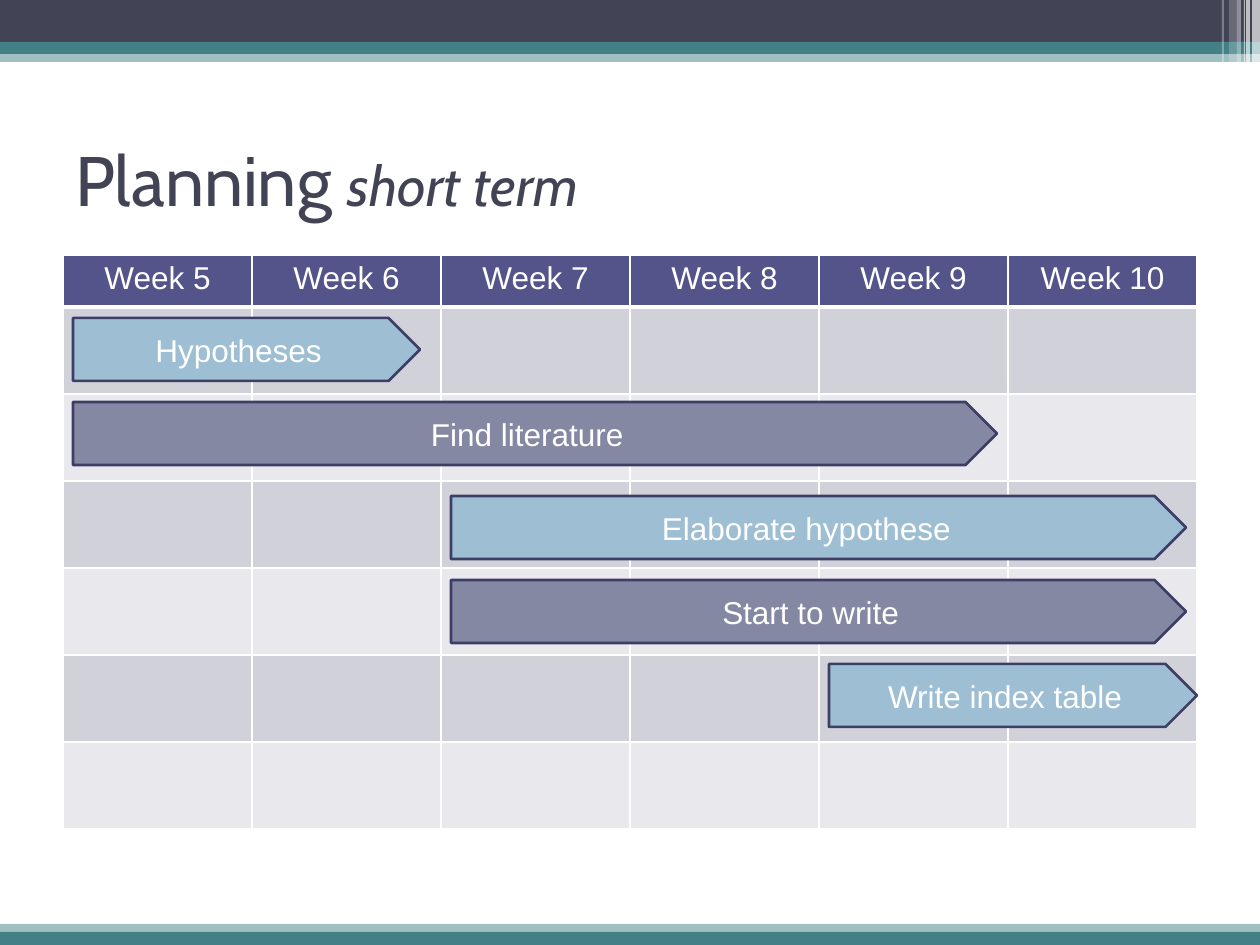
from lxml.etree import SubElement
from pptx import Presentation
from pptx.dml.color import RGBColor
from pptx.enum.shapes import MSO_SHAPE as Shape
from pptx.enum.text import MSO_ANCHOR as Anchor, PP_ALIGN as Align
from pptx.oxml import parse_xml
from pptx.oxml.ns import nsdecls, qn
from pptx.util import Emu, Pt

SCALE = 914400 / 126
WHITE = RGBColor(0xFF, 0xFF, 0xFF)
SLATE = RGBColor(0x42, 0x44, 0x56)
TEAL = RGBColor(0x43, 0x80, 0x86)
INDIGO = RGBColor(0x53, 0x54, 0x8A)
OUTLINE = RGBColor(0x3D, 0x3E, 0x66)
SKY = RGBColor(0x9D, 0xBE, 0xD3)
MAUVE = RGBColor(0x85, 0x88, 0xA2)
DARK_ROW = RGBColor(0xD1, 0xD1, 0xDA)
LIGHT_ROW = RGBColor(0xE9, 0xE9, 0xED)

WIDTH, HEIGHT = 1260, 945
LEFT, TOP = 63, 255
COLUMN, HEADER, ROW = 189, 52, 87
WEEKS = [f"Week {number}" for number in range(5, 11)]
ROWS = 6
LABEL = {"size": Pt(18), "name": "Arial"}

BANDS = [
    (0, 50, WIDTH, 12, TEAL, 50),
    (0, 0, WIDTH, 42, SLATE, 100),
    (0, 42, WIDTH, 12, TEAL, 100),
    (1252, 0, 8, 86, WHITE, 65),
    (1246, 0, 4, 86, WHITE, 65),
    (1244, 0, 1, 86, WHITE, 60),
    (1237, 0, 4, 86, WHITE, 40),
    (1229, 0, 8, 81, WHITE, 20),
    (1222, 0, 2, 81, WHITE, 30),
    (0, 932, WIDTH, 13, TEAL, 100),
    (0, 924, WIDTH, 11, TEAL, 50),
]
TASKS = [
    ("Hypotheses", 0, 318, 347, SKY),
    ("Find literature", 0, 402, 924, MAUVE),
    ("Elaborate hypothese ", 2, 496, 735, SKY),
    ("Start to write", 2, 580, 735, MAUVE),
    ("Write index table", 4, 664, 368, SKY),
]


def px(*lengths):
    """Turn pixels into EMU lengths."""
    return [Emu(round(length * SCALE)) for length in lengths]


def add_span(para, text, color, formats):
    """Add one formatted run to a paragraph."""
    span = para.add_run()
    span.text = text
    span.font.color.rgb = color
    for key, value in formats.items():
        setattr(span.font, key, value)


def add_block(page, kind, bounds, color, opacity=100):
    """Add a filled preset shape without outline."""
    block = page.shapes.add_shape(kind, *px(*bounds))
    block.shadow.inherit = False
    block.fill.solid()
    block.fill.fore_color.rgb = color
    block.line.fill.background()
    if opacity < 100:
        tint = block.fill._xPr.find(".//" + qn("a:srgbClr"))
        SubElement(tint, qn("a:alpha"), val=str(opacity * 1000))
    return block


def add_title(page):
    """Add the two-size slide title."""
    box = page.shapes.add_textbox(*px(LEFT, 105, 1134, 147))
    box.text_frame.word_wrap = True
    box.text_frame.vertical_anchor = Anchor.MIDDLE
    para = box.text_frame.paragraphs[0]
    add_span(para, "Planning ", SLATE, {"name": "Cabin", "size": Pt(40)})
    add_span(para, "short term", SLATE, {"name": "Cabin", "size": Pt(32), "italic": True})


def style_cell(cell, color, bottom):
    """Fill a cell and draw its white borders."""
    cell.fill.solid()
    cell.fill.fore_color.rgb = color
    widths = {"lnL": 1, "lnR": 1, "lnT": 1, "lnB": bottom}
    for index, (side, width) in enumerate(widths.items()):
        border = parse_xml(
            f'<a:{side} {nsdecls("a")} w="{Pt(width)}"><a:solidFill>'
            f'<a:srgbClr val="{WHITE}"/></a:solidFill></a:{side}>'
        )
        cell._tc.get_or_add_tcPr().insert(index, border)


def add_calendar(page):
    """Add the week grid with its header."""
    bounds = px(LEFT, TOP, COLUMN * len(WEEKS), HEADER + ROW * ROWS)
    table = page.shapes.add_table(ROWS + 1, len(WEEKS), *bounds).table
    table.first_row = table.horz_banding = False
    for column in table.columns:
        column.width = px(COLUMN)[0]
    for index, row in enumerate(table.rows):
        row.height = px(ROW if index else HEADER)[0]
        color = (LIGHT_ROW, DARK_ROW)[index % 2] if index else INDIGO
        for cell in row.cells:
            style_cell(cell, color, 1 if index else 3)
        if index == 1:
            for cell in row.cells:
                cell._tc.tcPr.find(qn("a:lnT")).set("w", str(Pt(3)))
    for cell, week in zip(table.rows[0].cells, WEEKS):
        para = cell.text_frame.paragraphs[0]
        para.alignment = Align.CENTER
        add_span(para, week, WHITE, LABEL)


def add_task(page, text, column, top, width, color):
    """Add a task arrow that starts in a given week column."""
    bounds = (LEFT + 10 + COLUMN * column, top, width, 63)
    arrow = add_block(page, Shape.PENTAGON, bounds, color)
    arrow.line.color.rgb = OUTLINE
    arrow.line.width = Pt(1.5)
    arrow.text_frame.vertical_anchor = Anchor.MIDDLE
    para = arrow.text_frame.paragraphs[0]
    para.alignment = Align.CENTER
    add_span(para, text, WHITE, LABEL)


def main():
    """Build the planning slide and save it."""
    deck = Presentation()
    deck.slide_width, deck.slide_height = px(WIDTH, HEIGHT)
    page = deck.slides.add_slide(deck.slide_layouts[6])
    for *bounds, color, opacity in BANDS:
        add_block(page, Shape.RECTANGLE, bounds, color, opacity)
    add_title(page)
    add_calendar(page)
    for task in TASKS:
        add_task(page, *task)
    deck.save("out.pptx")


main()
